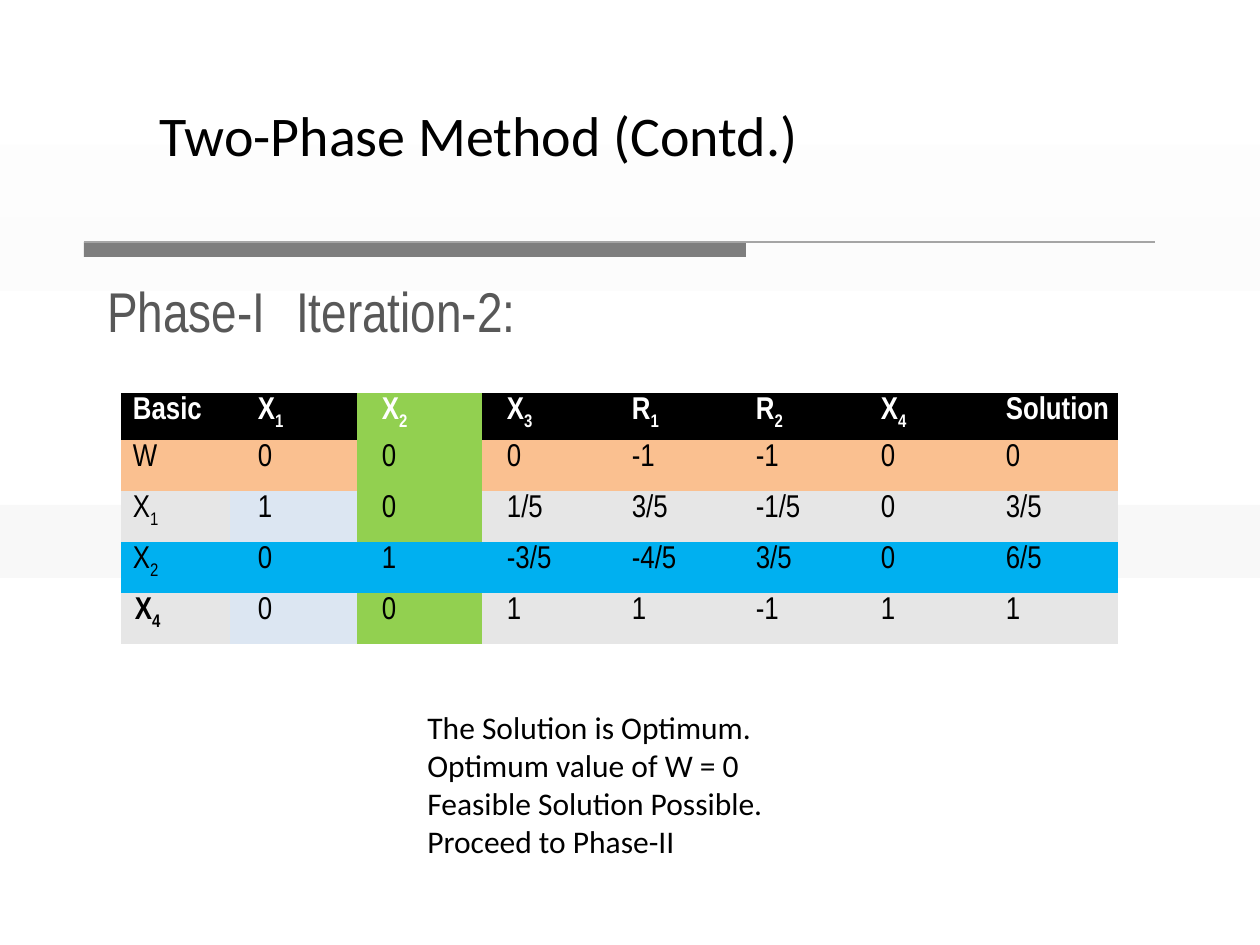
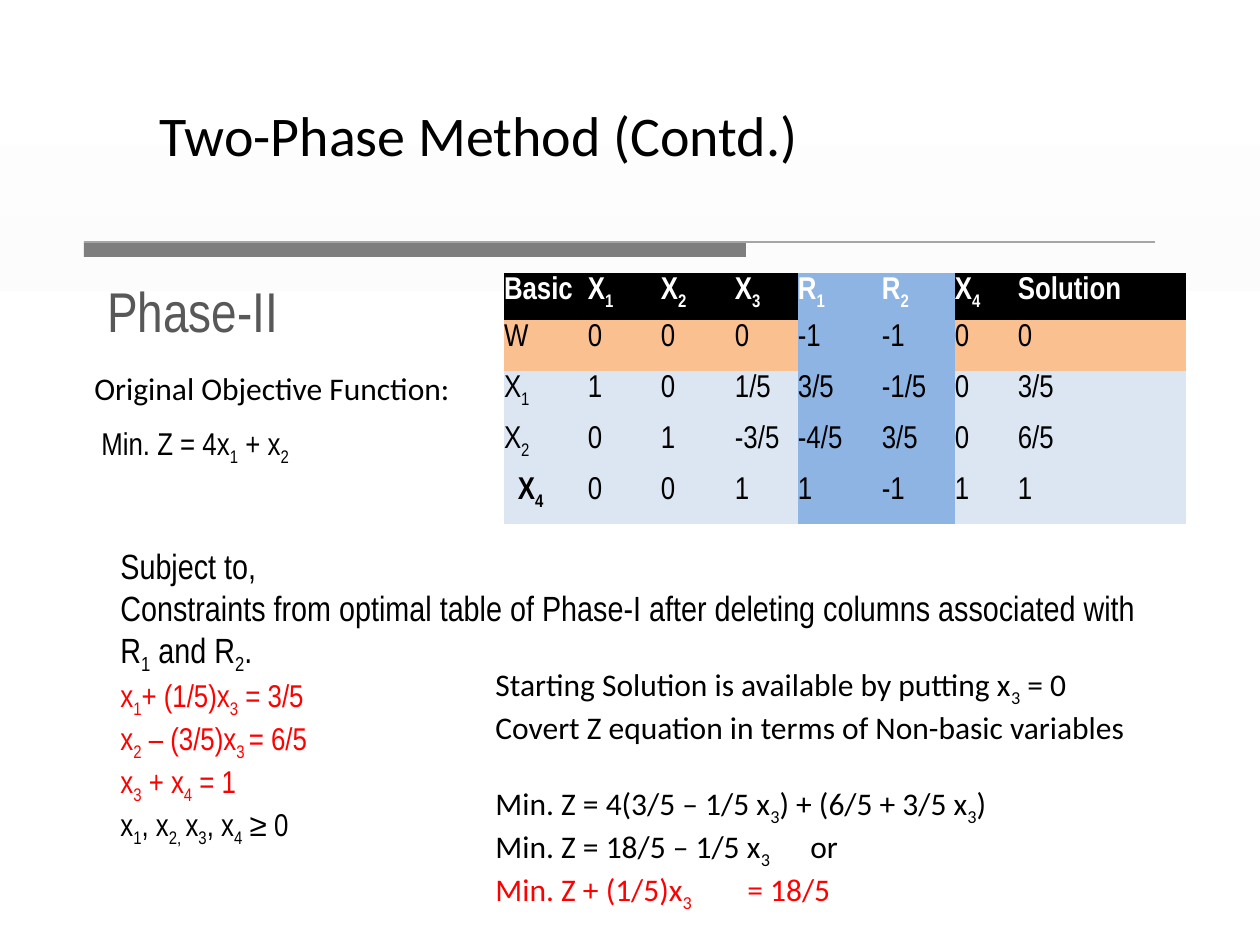
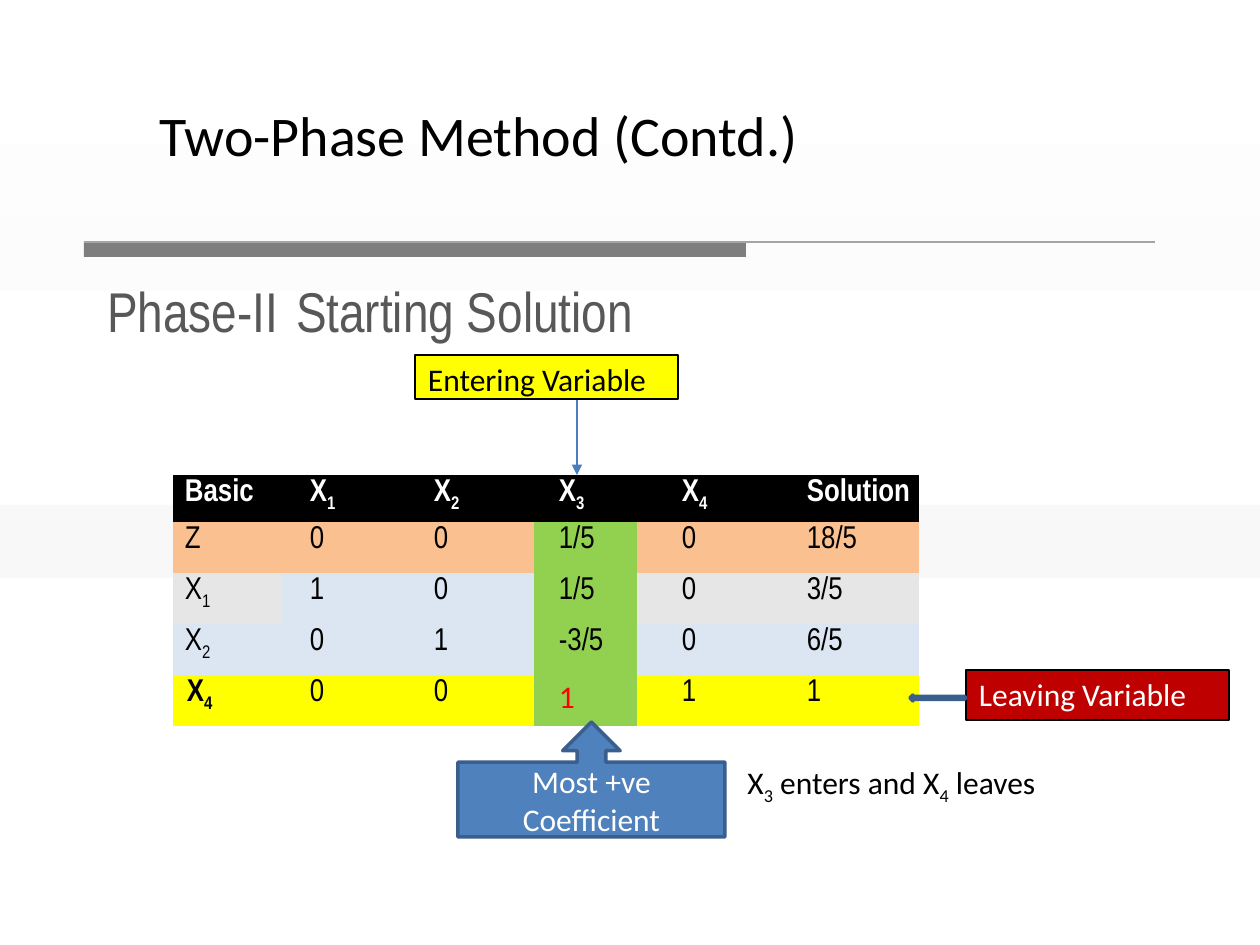
from pptx import Presentation
from pptx.dml.color import RGBColor
from pptx.enum.shapes import MSO_CONNECTOR, MSO_SHAPE
from pptx.enum.text import MSO_ANCHOR, MSO_AUTO_SIZE, PP_ALIGN
from pptx.oxml.ns import qn
from pptx.util import Pt
from lxml import etree

PX = 914400 / 126
COLORS = {
    "black": "000000", "white": "FFFFFF", "red": "FF0000", "dark red": "BF0000",
    "heading": "585858", "bar": "7E7E7E", "rule": "A5A5A5",
    "band 1": "FDFDFD", "band 2": "FCFCFC", "band 3": "F8F8F8",
    "orange": "FAC090", "green": "92D050", "grey": "E6E6E6", "pale": "DCE6F2",
    "cyan": "00B0F0", "steel": "8EB4E3", "yellow": "FFFF00",
    "blue": "4F81BD", "outline": "3A5F8C", "arrow": "4B7EBC",
}
RGB = {name: RGBColor.from_string(value) for name, value in COLORS.items()}
NARROW, SANS = "Arial Narrow", "Calibri"
NO_GRID = "{2D5ABB26-0587-4C30-8999-92F81FD0307C}"


def px(*lengths):
    return [round(length * PX) for length in lengths]


def write(paragraph, text, size=18, color="black", font=SANS, bold=False, indent=0, tab=None):
    """Fill a paragraph; parts between bars are subscripts."""
    for i, part in enumerate(text.split("|")):
        if not part:
            continue
        run = paragraph.add_run()
        run.text = part
        run.font.size, run.font.name, run.font.bold = Pt(size), font, bold
        run.font.color.rgb = RGB[color]
        if i % 2:
            run.font.element.set("baseline", "-25000") if hasattr(run.font, "element") else \
                run._r.get_or_add_rPr().set("baseline", "-25000")
    props = paragraph._p.get_or_add_pPr()
    props.set("marL", str(round(indent * PX)))
    props.set("indent", "0")
    etree.SubElement(props, qn("a:buNone"))
    if tab:
        tabs = etree.SubElement(props, qn("a:tabLst"))
        etree.SubElement(tabs, qn("a:tab"), pos=str(round(tab * PX)), algn="l")


prs = Presentation()
prs.slide_width, prs.slide_height = px(1260, 945)
layout = prs.slide_layouts[1]

# Title and phase heading of each slide: text, tab stop of its second part
slides = []
for heading, tab in [("Phase-I\tIteration-2:", 262), ("Phase-II", None),
                     ("Phase-II\tStarting Solution", 274)]:
    slide = prs.slides.add_slide(layout)
    slides.append(slide)
    title, body = slide.shapes.title, slide.placeholders[1]
    title.left, title.top, title.width, title.height = px(147, 94, 914, 81)
    body.left, body.top, body.width, body.height = px(106, 275, 619, 69)
    for holder in (title, body):
        frame = holder.text_frame
        frame.vertical_anchor = MSO_ANCHOR.TOP
        frame.auto_size = MSO_AUTO_SIZE.NONE
        frame.word_wrap = True
        frame.paragraphs[0].alignment = PP_ALIGN.LEFT
    frame.margin_left = frame.margin_right = frame.margin_bottom = 0
    frame.margin_top = px(1)[0]
    frame.paragraphs[0].space_before = Pt(1)
    write(title.text_frame.paragraphs[0], "Two-Phase Method (Contd.)", 32)
    write(frame.paragraphs[0], heading, 32, "heading", NARROW, indent=1, tab=tab)

# Plain rectangles: the shared ones move to the layout, behind its placeholders
for owner, color, box in [
        (None, "band 1", (0, 145, 1260, 73)), (None, "band 2", (0, 218, 1260, 73)),
        (None, "bar", (84, 242, 662, 15)),
        (slides[0], "band 3", (0, 505, 1260, 73)), (slides[2], "band 3", (0, 505, 1260, 73))]:
    band = (owner or slides[0]).shapes.add_shape(MSO_SHAPE.RECTANGLE, *px(*box))
    band.shadow.inherit = False
    band.fill.solid()
    band.fill.fore_color.rgb = RGB[color]
    band.line.fill.background()
    if owner:
        owner.shapes.element.insert(2, band.element)
    else:
        layout.shapes.element.append(band.element)

# Lines: the thin rule of the layout and the arrow to the entering column
for owner, color, width, ends in [(None, "rule", 0.74, (84, 242, 1155, 242)),
                                  (slides[2], "arrow", 0.75, (577, 398, 577, 475))]:
    line = (owner or slides[0]).shapes.add_connector(MSO_CONNECTOR.STRAIGHT, *px(*ends))
    line.line.color.rgb = RGB[color]
    line.line.width = Pt(width)
    props = line.element.spPr
    if owner:
        etree.SubElement(props.find(qn("a:ln")), qn("a:tailEnd"), type="triangle")
    else:
        layout.shapes.element.append(line.element)
    etree.SubElement(props, qn("a:effectLst"))

# Simplex tables: column name -> (width, text indent)
wide = {"Basic": (109, 12), "X|1|": (127, 28), "X|2|": (125, 25), "X|3|": (103, 25),
        "R|1|": (126, 47), "R|2|": (125, 45), "X|4|": (123, 45), "Solution": (159, 47)}
tight = dict(zip(wide, [(w, 0) for w in (84, 73, 74, 63, 84, 73, 63, 168)]))
short = {name: size for name, size in wide.items() if name[0] != "R"}
phase_one = ["W 0 0 0 -1 -1 0 0", "X|1| 1 0 1/5 3/5 -1/5 0 3/5",
             "X|2| 0 1 -3/5 -4/5 3/5 0 6/5", "X|4| 0 0 1 1 -1 1 1"]
phase_two = ["Z 0 0 1/5 0 18/5", "X|1| 1 0 1/5 0 3/5",
             "X|2| 0 1 -3/5 0 6/5", "X|4| 0 0 1 1 1"]
# Row fills from the header down, then fills of single cells
tables = [
    (slides[0], (121, 393), wide, phase_one, ["black", "orange", "grey", "cyan", "grey"],
     {**{(r, 2): "green" for r in (0, 1, 2, 4)}, (2, 1): "pale", (4, 1): "pale"}),
    (slides[1], (504, 273), tight, phase_one, ["black", "orange", "pale", "pale", "pale"],
     {(r, c): "steel" for r in range(5) for c in (4, 5)}),
    (slides[2], (173, 475), short, phase_two, ["black", "orange", "grey", "pale", "yellow"],
     {**{(r, 3): "green" for r in range(1, 5)}, (2, 1): "pale", (2, 2): "pale"}),
]
for slide, corner, columns, lines, row_fills, cell_fills in tables:
    rows = [list(columns)] + [line.split() for line in lines]
    width = sum(w for w, _ in columns.values())
    holder = slide.shapes.add_table(5, len(columns), *px(*corner, width, 47 + 4 * 51))
    holder.element.find(".//" + qn("a:tableStyleId")).text = NO_GRID
    table = holder.table
    for column, (w, _) in zip(table.columns, columns.values()):
        column.width = px(w)[0]
    for r, row in enumerate(rows):
        table.rows[r].height = px(51 if r else 47)[0]
        for c, (text, (_, indent)) in enumerate(zip(row, columns.values())):
            cell = table.cell(r, c)
            cell.margin_left = cell.margin_right = cell.margin_bottom = 0
            cell.margin_top = px(4)[0]
            cell.fill.solid()
            cell.fill.fore_color.rgb = RGB[cell_fills.get((r, c), row_fills[r])]
            paragraph = cell.text_frame.paragraphs[0]
            if indent:
                paragraph.space_before = Pt(2.3)
            pivot = slide is slides[2] and (r, c) == (4, 3)
            last_basic = (r, c) == (4, 0)
            write(paragraph, text, 18, "red" if pivot else "black" if r else "white",
                  SANS if pivot else NARROW, r == 0 or last_basic, 14 if last_basic else indent)

# Text boxes: each paragraph is its text and what differs from the box's font
red = {"color": "red"}
notes = [
    (slides[0], (415, 702, 462, 165), SANS, [
        ("The Solution is Optimum.", {}), ("Optimum value of W = 0", {}),
        ("Feasible Solution Possible. Proceed to Phase-II", {})]),
    (slides[1], (108, 538, 1067, 292), NARROW, [
        ("Subject to,", {"size": 20}),
        ("Constraints from optimal table of Phase-I after deleting columns associated with "
         "R|1| and R|2|.", {"size": 20}),
        ("x|1|+ (1/5)x|3| = 3/5", red), ("x|2| – (3/5)x|3 |= 6/5", red),
        ("x|3| + x|4| = 1", red), ("x|1|, x|2, |x|3|, x|4| ≥ 0", {})]),
    (slides[1], (82, 363, 386, 50), SANS, [("Original Objective Function:", {})]),
    (slides[1], (89, 418, 553, 50), NARROW, [("Min. Z = 4x|1| + x|2|", {})]),
    (slides[1], (483, 659, 661, 242), SANS, [
        ("Starting Solution is available by putting x|3| = 0", {}),
        ("Covert Z equation in terms of Non-basic variables", {}),
        ("Min. Z = 4(3/5 – 1/5 x|3|) + (6/5 + 3/5 x|3|)", {"gap": 22}),
        ("Min. Z = 18/5 – 1/5 x|3|\tor", {"tab": 296}),
        ("Min. Z + (1/5)x|3|\t= 18/5", {**red, "tab": 212})]),
    (slides[2], (735, 757, 347, 50), SANS, [("X|3| enters and X|4| leaves", {})]),
]
for slide, box, font, paragraphs in notes:
    frame = slide.shapes.add_textbox(*px(*box)).text_frame
    frame.word_wrap = True
    for i, (text, style) in enumerate(paragraphs):
        paragraph = frame.add_paragraph() if i else frame.paragraphs[0]
        style = dict(style)
        paragraph.space_before = Pt(style.pop("gap", 0))
        write(paragraph, text, font=font, **style)

# Callouts around the pivot of the last table
for kind, box, fill, outline, weight, text, color in [
        (MSO_SHAPE.UP_ARROW_CALLOUT, (458, 722, 267, 115), "blue", "outline", 2,
         "Most +ve Coefficient", "white"),
        (MSO_SHAPE.RECTANGLE, (966, 670, 263, 50), "dark red", "black", 0.75,
         "Leaving Variable", "white"),
        (MSO_SHAPE.RECTANGLE, (415, 355, 263, 44), "yellow", "black", 0.75,
         "Entering Variable", "black"),
        (MSO_SHAPE.LEFT_ARROW, (910, 695, 55, 6), "blue", "outline", 2, "", "white")]:
    shape = slides[2].shapes.add_shape(kind, *px(*box))
    shape.shadow.inherit = False
    shape.fill.solid()
    shape.fill.fore_color.rgb = RGB[fill]
    shape.line.color.rgb = RGB[outline]
    shape.line.width = Pt(weight)
    frame = shape.text_frame
    frame.word_wrap = True
    paragraph = frame.paragraphs[0]
    label = kind == MSO_SHAPE.RECTANGLE
    paragraph.alignment = PP_ALIGN.LEFT if label else PP_ALIGN.CENTER
    if label:
        frame.vertical_anchor = MSO_ANCHOR.TOP
        frame.margin_left = frame.margin_right = frame.margin_bottom = 0
        frame.margin_top = px(5)[0]
        paragraph.space_before = Pt(3.2)
    write(paragraph, text, color=color, indent=13 if label else 0)

prs.save("out.pptx")
